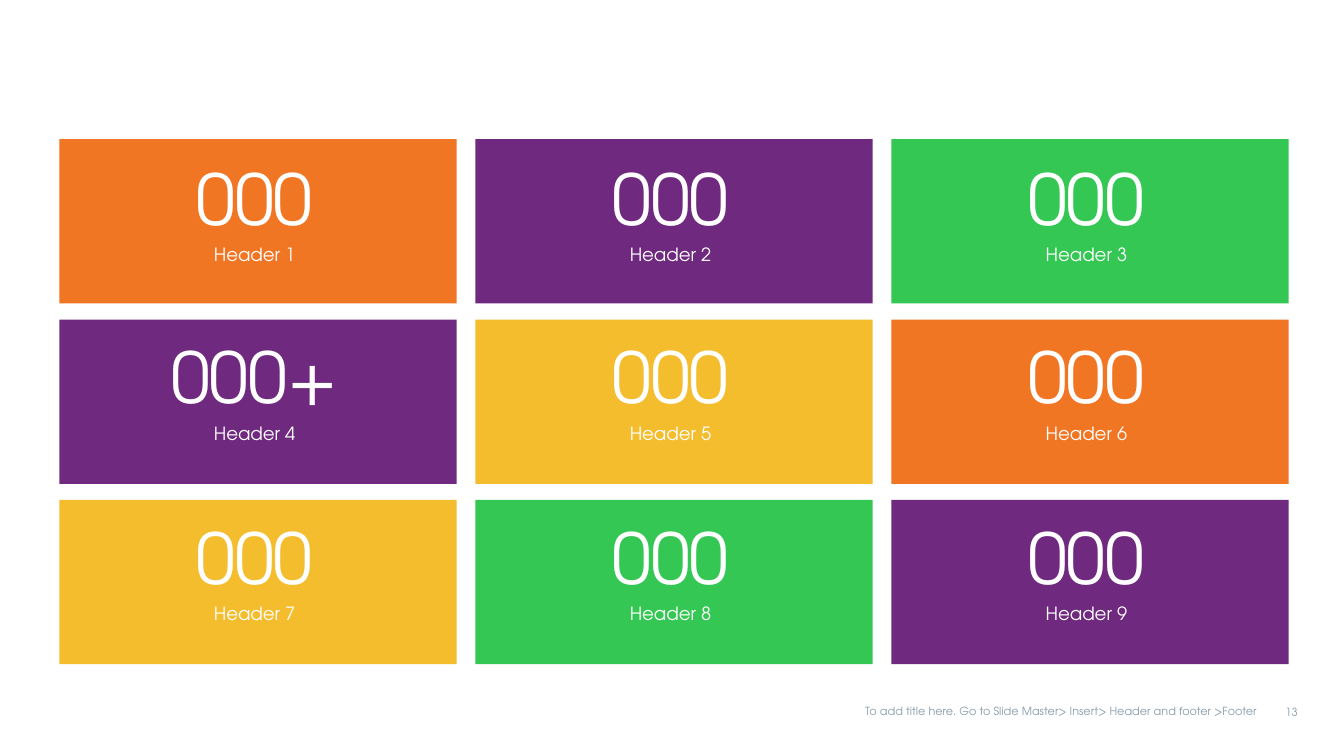
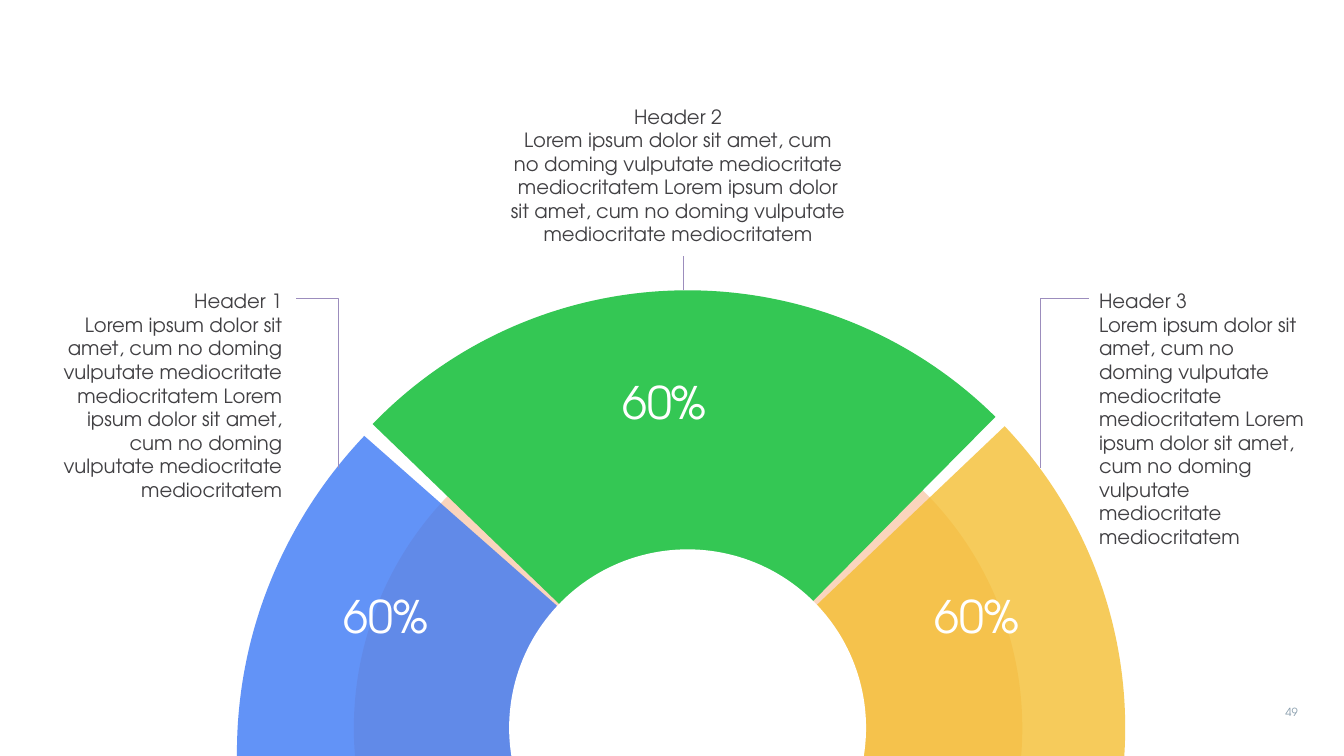
import lxml.etree
import pptx
import pptx.dml.color
import pptx.enum.shapes
import pptx.enum.text
import pptx.oxml.ns
import pptx.util

Inches, Pt = pptx.util.Inches, pptx.util.Pt
RGBColor = pptx.dml.color.RGBColor
SHAPE = pptx.enum.shapes.MSO_SHAPE
CONNECTOR = pptx.enum.shapes.MSO_CONNECTOR
ALIGN = pptx.enum.text.PP_ALIGN
ANCHOR = pptx.enum.text.MSO_ANCHOR
qn = pptx.oxml.ns.qn

FONT = "TeX Gyre Adventor"
WHITE = RGBColor(0xFF, 0xFF, 0xFF)
ORANGE = RGBColor(0xF0, 0x76, 0x24)
PURPLE = RGBColor(0x6F, 0x2A, 0x7F)
GREEN = RGBColor(0x34, 0xC7, 0x54)
YELLOW = RGBColor(0xF4, 0xBD, 0x2D)
BLUE = RGBColor(0x37, 0x75, 0xF5)
PEACH = RGBColor(0xF6, 0xAD, 0x7C)
LILAC = RGBColor(0x9C, 0x8D, 0xBD)
INK = RGBColor(0x41, 0x40, 0x43)
FOOTER_GREY = RGBColor(0x88, 0x9D, 0xAC)

FOOTER = "To add title here. Go to Slide Master> Insert> Header and footer >Footer"
TILE_ROWS = [
    (0.16, [("000", "Header 1", ORANGE), ("000", "Header 2", PURPLE), ("000", "Header 3", GREEN)]),
    (0.14, [("000+", "Header 4", PURPLE), ("000", "Header 5", YELLOW), ("000", "Header 6", ORANGE)]),
    (0.14, [("000", "Header 7", YELLOW), ("000", "Header 8", GREEN), ("000", "Header 9", PURPLE)]),
]
TILE_LEFT, TILE_TOP, TILE_WIDTH, TILE_HEIGHT = 0.59, 1.38, 3.94, 1.63
COLUMN_STEP, ROW_STEP = 4.125, 1.79

LOREM = " ".join(["Lorem ipsum dolor sit amet, cum no doming vulputate mediocritate mediocritatem"] * 2)
WEDGES = [
    ((2.35, 2.81, 9.65, 9.31), 160.73, 221.4, BLUE, 78, "60%", (2.73, 5.79, 2.2, 0.64)),
    ((2.48, 2.88, 8.68, 8.68), 223.96, 314.71, GREEN, 100, "60%", (4.78, 3.67, 3.62, 0.64)),
    ((2.48, 2.88, 8.68, 8.68), 316.43, 22.67, YELLOW, 78, "60%", (8.59, 5.79, 2.2, 0.64)),
]
CALLOUTS = [
    ("Header 1", (0.47, 2.87, 2.33, 2.36), ALIGN.RIGHT, (2.94, 2.96, 3.36, 4.64)),
    ("Header 2", (5.05, 1.04, 3.35, 1.4), ALIGN.CENTER, (6.78, 2.54, 6.78, 2.88)),
    ("Header 3", (10.9, 2.87, 2.12, 2.83), ALIGN.LEFT, (10.8, 2.96, 10.32, 4.64)),
]


def inches(lengths):
    return [Inches(length) for length in lengths]


def write(shape, lines, color, align, insets=(0.1, 0.05, 0.1, 0.05), anchor=ANCHOR.TOP):
    frame = shape.text_frame
    frame.word_wrap = True
    frame.vertical_anchor = anchor
    frame.margin_left, frame.margin_top, frame.margin_right, frame.margin_bottom = inches(insets)
    for index, (text, size) in enumerate(lines):
        paragraph = frame.add_paragraph() if index else frame.paragraphs[0]
        paragraph.text = text
        paragraph.alignment = align
        paragraph.font.name = FONT
        paragraph.font.size = Pt(size)
        paragraph.font.color.rgb = color
    return frame.paragraphs


def add_text(slide, box, lines, color, align, **layout):
    return write(slide.shapes.add_textbox(*inches(box)), lines, color, align, **layout)


def add_filled(slide, preset, box, color, opacity=100):
    shape = slide.shapes.add_shape(preset, *inches(box))
    shape.shadow.inherit = False
    shape.line.fill.background()
    shape.fill.solid()
    shape.fill.fore_color.rgb = color
    if opacity < 100:
        rgb = shape._element.spPr.find(".//" + qn("a:srgbClr"))
        lxml.etree.SubElement(rgb, qn("a:alpha")).set("val", str(opacity * 1000))
    return shape


def add_leader(slide, ends):
    straight = ends[0] == ends[2]
    leader = slide.shapes.add_connector(CONNECTOR.STRAIGHT if straight else CONNECTOR.ELBOW, *inches(ends))
    leader.line.color.rgb = LILAC
    leader.line.width = Pt(0.5)
    properties = leader._element.spPr
    if not straight:
        properties.find(qn("a:prstGeom")).set("prst", "bentConnector2")
    lxml.etree.SubElement(properties, qn("a:effectLst"))


def add_page(deck, number):
    slide = deck.slides.add_slide(deck.slide_layouts[6])
    add_text(slide, (12.41, 6.95, 0.56, 0.24), [(number, 8)], FOOTER_GREY, ALIGN.RIGHT)
    return slide


def build_tiles(deck):
    slide = add_page(deck, "13")
    add_text(slide, (8.15, 6.94, 4.42, 0.25), [(FOOTER, 8)], FOOTER_GREY, ALIGN.RIGHT)
    for row, (top_inset, tiles) in enumerate(TILE_ROWS):
        for column, (figure, header, color) in enumerate(tiles):
            box = (TILE_LEFT + column * COLUMN_STEP, TILE_TOP + row * ROW_STEP, TILE_WIDTH, TILE_HEIGHT)
            tile = add_filled(slide, SHAPE.RECTANGLE, box, color)
            paragraphs = write(tile, [(figure, 50), (header, 13)], WHITE, ALIGN.CENTER,
                               insets=(0, top_inset, 0.07, 0))
            paragraphs[1].line_spacing = 1.15
            paragraphs[1].space_before = Pt(0.7)


def build_arc(deck):
    slide = add_page(deck, "49")
    add_filled(slide, SHAPE.OVAL, (3.51, 3.91, 6.63, 6.63), PEACH, 50)
    for box, start, end, color, opacity, share, share_box in WEDGES:
        wedge = add_filled(slide, SHAPE.PIE, box, color, opacity)
        for index, degrees in enumerate((start, end)):
            wedge.adjustments[index] = degrees * 0.6
        add_text(slide, share_box, [(share, 32)], WHITE, ALIGN.CENTER)
    add_filled(slide, SHAPE.OVAL, (5.05, 5.45, 3.54, 3.54), WHITE)
    for header, box, align, leader_ends in CALLOUTS:
        anchor = ANCHOR.BOTTOM if align == ALIGN.CENTER else ANCHOR.TOP
        add_text(slide, box, [(header, 14), (LOREM, 14)], INK, align, insets=(0, 0, 0, 0), anchor=anchor)
        add_leader(slide, leader_ends)


def main():
    deck = pptx.Presentation()
    deck.slide_width, deck.slide_height = Inches(13.33), Inches(7.5)
    build_tiles(deck)
    build_arc(deck)
    deck.save("out.pptx")


if __name__ == "__main__":
    main()
